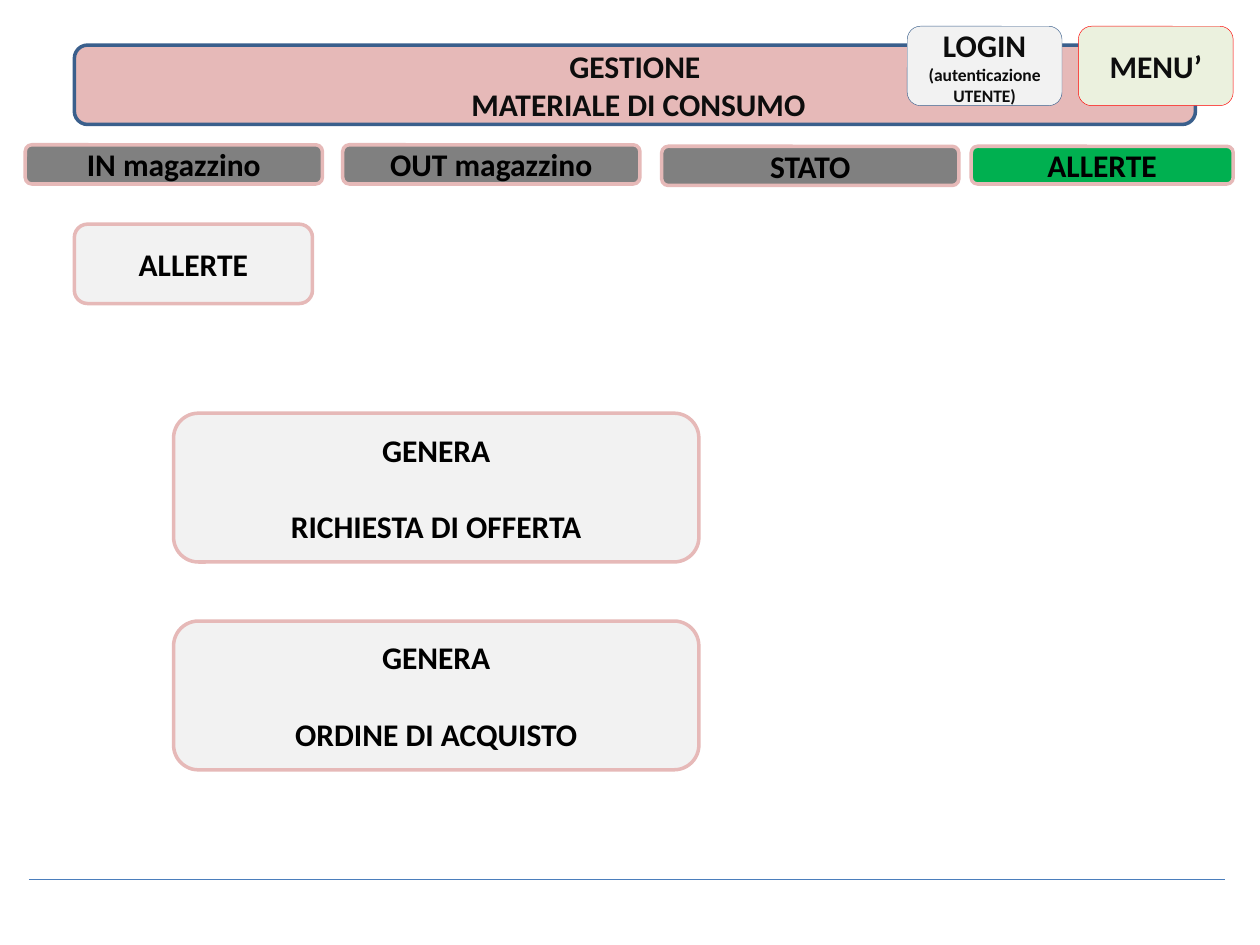
"""Build the alerts page of the consumables management screens."""
import dataclasses

import pptx
import pptx.dml.color
import pptx.enum.shapes
import pptx.enum.text
import pptx.oxml.ns
import pptx.slide
import pptx.util
from lxml import etree

Cm = pptx.util.Cm
Pt = pptx.util.Pt

COLOURS = {
    "rose": "E6B9B8",
    "navy": "3A5F8C",
    "pale": "F2F2F2",
    "cream": "EBF1DE",
    "red": "FF0000",
    "grey": "808080",
    "green": "00B050",
    "blue": "4B7EBC",
    "ink": "0D0D0D",
    "black": "000000",
}
FONT = {"name": "Calibri", "bold": True}
FRAME = {"word_wrap": True, "vertical_anchor": pptx.enum.text.MSO_ANCHOR.MIDDLE}


@dataclasses.dataclass
class Button:
    left: float
    top: float
    width: float
    height: float
    lines: tuple[str, ...]
    fill: str = "pale"
    border: str = "rose"
    border_width: float = 2
    ink: str = "black"
    sizes: tuple[int, ...] = (18, 18)
    gap: float = 0


def colour(name: str) -> pptx.dml.color.RGBColor:
    return pptx.dml.color.RGBColor.from_string(COLOURS[name])


def apply(target: object, values: dict) -> None:
    for name, value in values.items():
        setattr(target, name, value)


def draw_button(page: pptx.slide.Slide, button: Button) -> None:
    box = page.shapes.add_shape(
        pptx.enum.shapes.MSO_SHAPE.ROUNDED_RECTANGLE,
        Cm(button.left), Cm(button.top), Cm(button.width), Cm(button.height),
    )
    box.shadow.inherit = False
    box.fill.solid()
    box.fill.fore_color.rgb = colour(button.fill)
    box.line.color.rgb = colour(button.border)
    box.line.width = Pt(button.border_width)
    apply(box.text_frame, FRAME)
    for index, (line, size) in enumerate(zip(button.lines, button.sizes)):
        para = box.text_frame.add_paragraph() if index else box.text_frame.paragraphs[0]
        para.alignment = pptx.enum.text.PP_ALIGN.CENTER
        if index and button.gap:
            para.space_before = Pt(button.gap)
        span = para.add_run()
        span.text = line
        apply(span.font, FONT | {"size": Pt(size)})
        span.font.color.rgb = colour(button.ink)


def draw_rule(page: pptx.slide.Slide, left: float, right: float, top: float) -> None:
    rule = page.shapes.add_connector(
        pptx.enum.shapes.MSO_CONNECTOR.STRAIGHT, Cm(left), Cm(top), Cm(right), Cm(top)
    )
    rule.line.color.rgb = colour("blue")
    rule.line.width = Pt(0.75)
    properties = rule._element.find(pptx.oxml.ns.qn("p:spPr"))
    etree.SubElement(properties, pptx.oxml.ns.qn("a:effectLst"))


HEADER = [
    Button(1.5, 0.91, 22.6, 1.6, ("GESTIONE", " MATERIALE DI CONSUMO"),
           "rose", "navy", ink="ink"),
    Button(18.29, 0.53, 3.12, 1.6, ("LOGIN", "(autenticazione UTENTE)"),
           "pale", "navy", 0.25, "ink", (18, 10)),
    Button(21.74, 0.53, 3.12, 1.6, ("MENU’",), "cream", "red", 0.25, "ink"),
    Button(1.5, 4.52, 4.8, 1.6, ("ALLERTE",)),
]
TABS = [
    Button(0.51, 2.92, 5.99, 0.79, ("IN magazzino",), "grey"),
    Button(6.91, 2.92, 5.99, 0.79, ("OUT magazzino",), "grey"),
    Button(13.34, 2.95, 5.99, 0.79, ("STATO",), "grey"),
    Button(19.58, 2.95, 5.28, 0.76, ("ALLERTE",), "green"),
]
ACTIONS = [
    Button(3.5, 8.33 + 4.19 * row, 10.59, 3, ("GENERA", document), gap=22)
    for row, document in enumerate(("RICHIESTA DI OFFERTA", "ORDINE DI ACQUISTO"))
]

deck = pptx.Presentation()
apply(deck, {"slide_width": Cm(25.4), "slide_height": Cm(19.05)})
page = deck.slides.add_slide(deck.slide_layouts[6])
for item in HEADER:
    draw_button(page, item)
draw_rule(page, 0.58, 24.69, 17.73)
for item in TABS + ACTIONS:
    draw_button(page, item)
deck.save("out.pptx")
